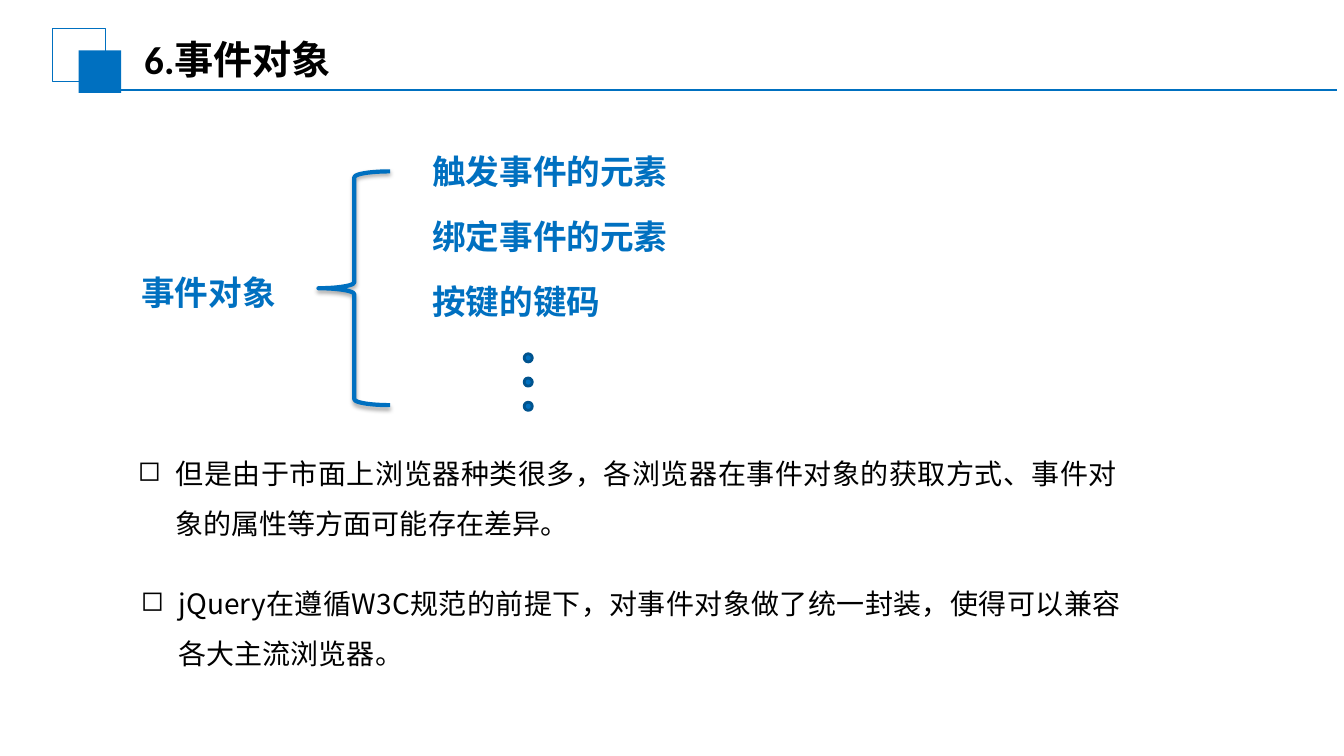
import pptx
import pptx.util
import pptx.dml.color
import pptx.enum.shapes
import pptx.enum.text
import pptx.oxml
import pptx.oxml.ns
import lxml.etree

Pt = pptx.util.Pt
SHAPES = pptx.enum.shapes.MSO_SHAPE
BLUE = "0070C0"
DARK_BLUE = "00538E"
BLACK = "000000"
HEADING_FONT = "Calibri"
BODY_FONT = "Noto Sans CJK SC"


def color(value):
    return pptx.dml.color.RGBColor.from_string(value)


def add_element(parent, tag, **attributes):
    return lxml.etree.SubElement(parent, pptx.oxml.ns.qn(tag), attributes)


def format_runs(para, size, font, fill, bold=False):
    for span in para.runs:
        span.font.size = Pt(size)
        span.font.name = font
        span.font.bold = bold
        span.font.color.rgb = color(fill)
        add_element(span.font._element, "a:ea", typeface=BODY_FONT)


def add_shape(shapes, kind, left, top, width, height, fill=None, line=None, weight=0.75):
    shape = shapes.add_shape(kind, Pt(left), Pt(top), Pt(width), Pt(height))
    shape.shadow.inherit = False
    if fill:
        shape.fill.solid()
        shape.fill.fore_color.rgb = color(fill)
    else:
        shape.fill.background()
    if line:
        shape.line.color.rgb = color(line)
        shape.line.width = Pt(weight)
    else:
        shape.line.fill.background()
    return shape


def add_rule(page, left, right, top):
    rule = page.shapes.add_connector(
        pptx.enum.shapes.MSO_CONNECTOR.STRAIGHT, Pt(left), Pt(top), Pt(right), Pt(top))
    rule.line.color.rgb = color(BLUE)
    rule.line.width = Pt(1.25)
    add_element(rule._element.spPr, "a:effectLst")


def add_title(page, text):
    title = page.shapes.title
    title.left, title.top, title.width, title.height = Pt(93.6), Pt(20.9), Pt(568), Pt(41.8)
    frame = title.text_frame
    frame.text = text
    frame.vertical_anchor = pptx.enum.text.MSO_ANCHOR.MIDDLE
    frame.margin_left = frame.margin_right = Pt(9.4)
    frame.margin_top = frame.margin_bottom = Pt(5)
    para = frame.paragraphs[0]
    para.alignment = pptx.enum.text.PP_ALIGN.LEFT
    format_runs(para, 28, HEADING_FONT, BLACK, True)


def add_text(page, text, left, top, width, height, wrap):
    box = page.shapes.add_textbox(Pt(left), Pt(top), Pt(width), Pt(height))
    frame = box.text_frame
    frame.text = text
    frame.word_wrap = wrap
    frame.auto_size = pptx.enum.text.MSO_AUTO_SIZE.SHAPE_TO_FIT_TEXT
    return frame.paragraphs[0]


def add_label(page, text, left, top):
    para = add_text(page, text, left, top, 24 * len(text) + 14.4, 36.35, False)
    format_runs(para, 24, HEADING_FONT, BLUE, True)


def add_bullet(page, text, left, top):
    para = add_text(page, text, left, top, 714, 75.6, True)
    para.alignment = pptx.enum.text.PP_ALIGN.JUSTIFY
    para.line_spacing = Pt(36)
    properties = para._p.get_or_add_pPr()
    properties.set("marL", str(Pt(27)))
    properties.set("indent", str(Pt(-27)))
    add_element(properties, "a:buChar", char="◻")
    format_runs(para, 20, BODY_FONT, BLACK)


def add_brace(page, left, top, width, height):
    brace = add_shape(page.shapes, SHAPES.LEFT_BRACE, left, top, width, height, line=BLUE, weight=3)
    effects = brace._element.spPr.find(pptx.oxml.ns.qn("a:effectLst"))
    shadow = add_element(effects, "a:outerShdw", blurRad=str(Pt(3.1)), dist=str(Pt(1.8)),
                         dir="5400000", rotWithShape="0")
    tint = add_element(shadow, "a:srgbClr", val=BLACK)
    add_element(tint, "a:alpha", val="35000")


def add_dots(page, left, top, pitch, count):
    dots = page.shapes.add_group_shape()
    for index in range(count):
        add_shape(dots.shapes, SHAPES.OVAL, left, top + index * pitch, 5.8, 5.8,
                  BLUE, DARK_BLUE, 2)


def main():
    deck = pptx.Presentation()
    deck.slide_width, deck.slide_height = Pt(960), Pt(540)
    page = deck.slides.add_slide(deck.slide_layouts[5])

    add_shape(page.shapes, SHAPES.RECTANGLE, 37.4, 20.2, 37.8, 38.2, line=BLUE)
    add_shape(page.shapes, SHAPES.RECTANGLE, 56.2, 36, 30.4, 30.4, fill=BLUE)
    add_rule(page, 77, 954.7, 64.1)
    add_title(page, "6.事件对象")

    add_label(page, "事件对象", 93.8, 190.8)
    add_brace(page, 227.5, 122.4, 51.1, 167)
    for index, text in enumerate(("触发事件的元素", "绑定事件的元素", "按键的键码")):
        add_label(page, text, 301.7, 104.4 + index * 46.5)
    add_dots(page, 374.4, 252.7, 17.3, 3)

    add_bullet(page, "但是由于市面上浏览器种类很多，各浏览器在事件对象的获取方式、"
                     "事件对象的属性等方面可能存在差异。", 91.4, 310.3)
    add_bullet(page, "jQuery在遵循W3C规范的前提下，对事件对象做了统一封装，"
                     "使得可以兼容各大主流浏览器。", 93.6, 403.2)
    deck.save("out.pptx")


if __name__ == "__main__":
    main()
